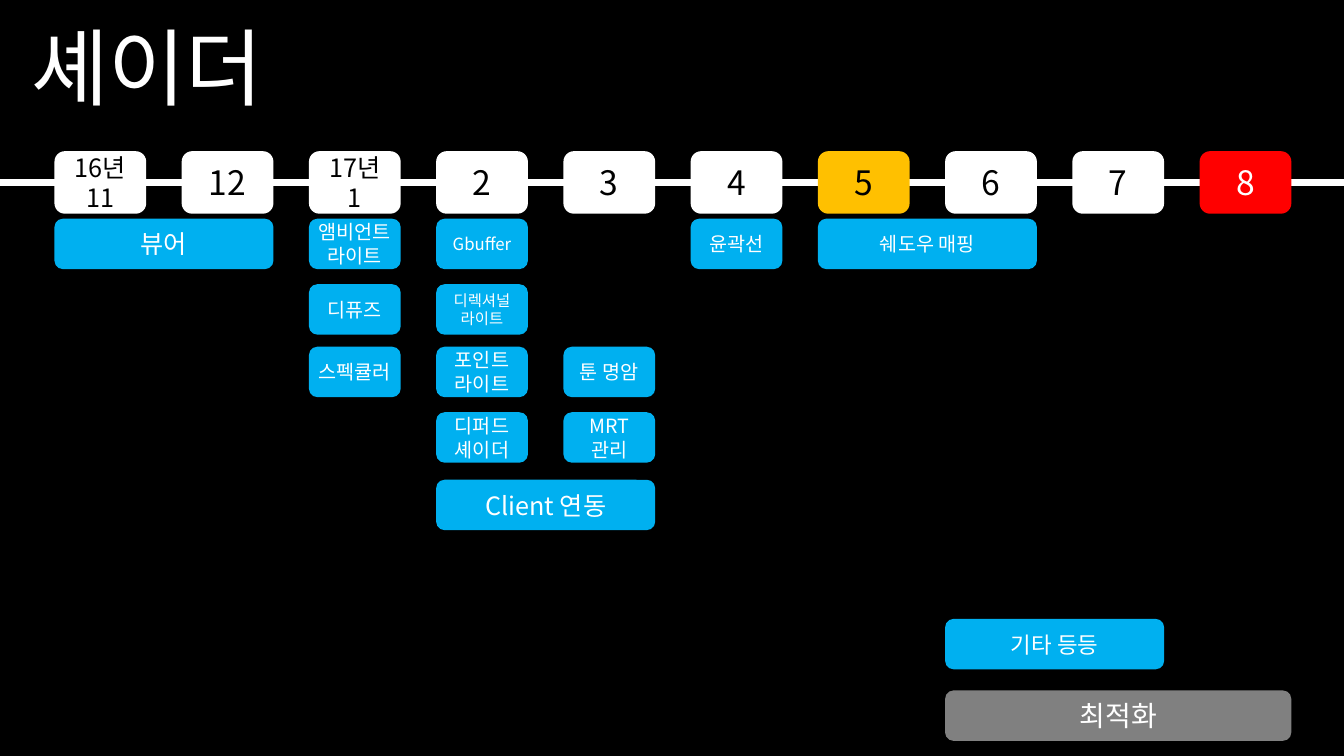
from lxml.etree import SubElement as sub
from pptx import Presentation
from pptx.dml.color import RGBColor as RGB
from pptx.enum.shapes import MSO_CONNECTOR as LINK, MSO_SHAPE as FORM
from pptx.enum.text import MSO_ANCHOR as ANCHOR, MSO_AUTO_SIZE as AUTO, PP_ALIGN as ALIGN
from pptx.oxml.ns import qn
from pptx.util import Inches, Pt

FONT = "Noto Sans CJK KR"
HUES = {"black": "000000", "white": "FFFFFF", "blue": "00B0F0",
        "gold": "FFC000", "red": "FF0000", "gray": "808080"}
WIDE, HIGH = 13.33, 7.5

# Month columns and task rows, in inches
LEFT, STEP, CELL = 0.54, 1.262, 0.91
ROWS = [2.17, 2.82, 3.44, 4.09, 4.76, 6.14, 6.85]
TASK_H = 0.5
MONTH_Y, MONTH_H = 1.5, 0.62

# Label, fill, text colour, text size
MONTHS = [("16년\n11", "white", "black", 18), ("12", "white", "black", 24),
          ("17년\n1", "white", "black", 18), ("2", "white", "black", 24),
          ("3", "white", "black", 24), ("4", "white", "black", 24),
          ("5", "gold", "black", 24), ("6", "white", "black", 24),
          ("7", "white", "black", 24), ("8", "red", "white", 24)]

# Label, first column, row, columns spanned, text size, fill
TASKS = [("뷰어", 0, 0, 2, 18, "blue"),
         ("앰비언트 라이트", 2, 0, 1, 14, "blue"),
         ("디퓨즈", 2, 1, 1, 14, "blue"),
         ("스펙큘러", 2, 2, 1, 14, "blue"),
         ("Gbuffer", 3, 0, 1, 12, "blue"),
         ("디렉셔널 라이트", 3, 1, 1, 11, "blue"),
         ("포인트라이트", 3, 2, 1, 14, "blue"),
         ("디퍼드 셰이더", 3, 3, 1, 14, "blue"),
         ("Client 연동", 3, 4, 2, 18, "blue"),
         ("툰 명암", 4, 2, 1, 14, "blue"),
         ("MRT\n관리", 4, 3, 1, 14, "blue"),
         ("윤곽선", 5, 0, 1, 14, "blue"),
         ("쉐도우 매핑", 6, 0, 2, 14, "blue"),
         ("기타 등등", 7, 5, 2, 16, "blue"),
         ("최적화", 7, 6, 3, 20, "gray")]
TIGHT = 2  # column whose tasks have no text margins


def tint(name):
    return RGB.from_string(HUES[name])


def write(frame, text, size, hue, align):
    frame.word_wrap = True
    frame.text = text
    for para in frame.paragraphs:
        para.alignment = align
        font = para.font
        font.size, font.name = Pt(size), FONT
        font.color.rgb = tint(hue)
        # Hangul takes the East Asian typeface
        sub(para._p.pPr.find(qn("a:defRPr")), qn("a:ea"), typeface=FONT)


def block(slide, form, x, y, w, h, fill):
    shape = slide.shapes.add_shape(form, *map(Inches, (x, y, w, h)))
    shape.shadow.inherit = False
    shape.fill.solid()
    shape.fill.fore_color.rgb = tint(fill)
    shape.line.fill.background()
    return shape


def card(slide, col, span, y, h, text, size, fill, hue):
    wide = CELL + STEP * (span - 1)
    shape = block(slide, FORM.ROUNDED_RECTANGLE, LEFT + STEP * col, y, wide, h, fill)
    frame = shape.text_frame
    frame.vertical_anchor = ANCHOR.MIDDLE
    write(frame, text, size, hue, ALIGN.CENTER)
    return frame


def axis(slide, y):
    line = slide.shapes.add_connector(LINK.STRAIGHT, 0, Inches(y), Inches(WIDE), Inches(y))
    line.line.color.rgb = tint("white")
    line.line.width = Pt(5)
    sub(line._element.spPr, qn("a:effectLst"))


def title(slide, text):
    box = slide.shapes.add_textbox(*map(Inches, (0.21, 0.1, 9.44, 1.11)))
    write(box.text_frame, text, 60, "white", ALIGN.LEFT)
    box.text_frame.auto_size = AUTO.SHAPE_TO_FIT_TEXT


def main():
    deck = Presentation()
    deck.slide_width, deck.slide_height = Inches(WIDE), Inches(HIGH)
    slide = deck.slides.add_slide(deck.slide_layouts[6])

    # Backdrop, time axis and heading
    block(slide, FORM.RECTANGLE, 0, 0, WIDE, HIGH, "black")
    axis(slide, MONTH_Y + MONTH_H / 2)
    title(slide, "셰이더")

    # Months along the axis
    for col, (text, fill, hue, size) in enumerate(MONTHS):
        card(slide, col, 1, MONTH_Y, MONTH_H, text, size, fill, hue)

    # Tasks below their months
    for text, col, row, span, size, fill in TASKS:
        frame = card(slide, col, span, ROWS[row], TASK_H, text, size, fill, "white")
        if col == TIGHT:
            frame.margin_left = frame.margin_right = 0
            frame.margin_top = frame.margin_bottom = 0

    deck.save("out.pptx")


if __name__ == "__main__":
    main()
